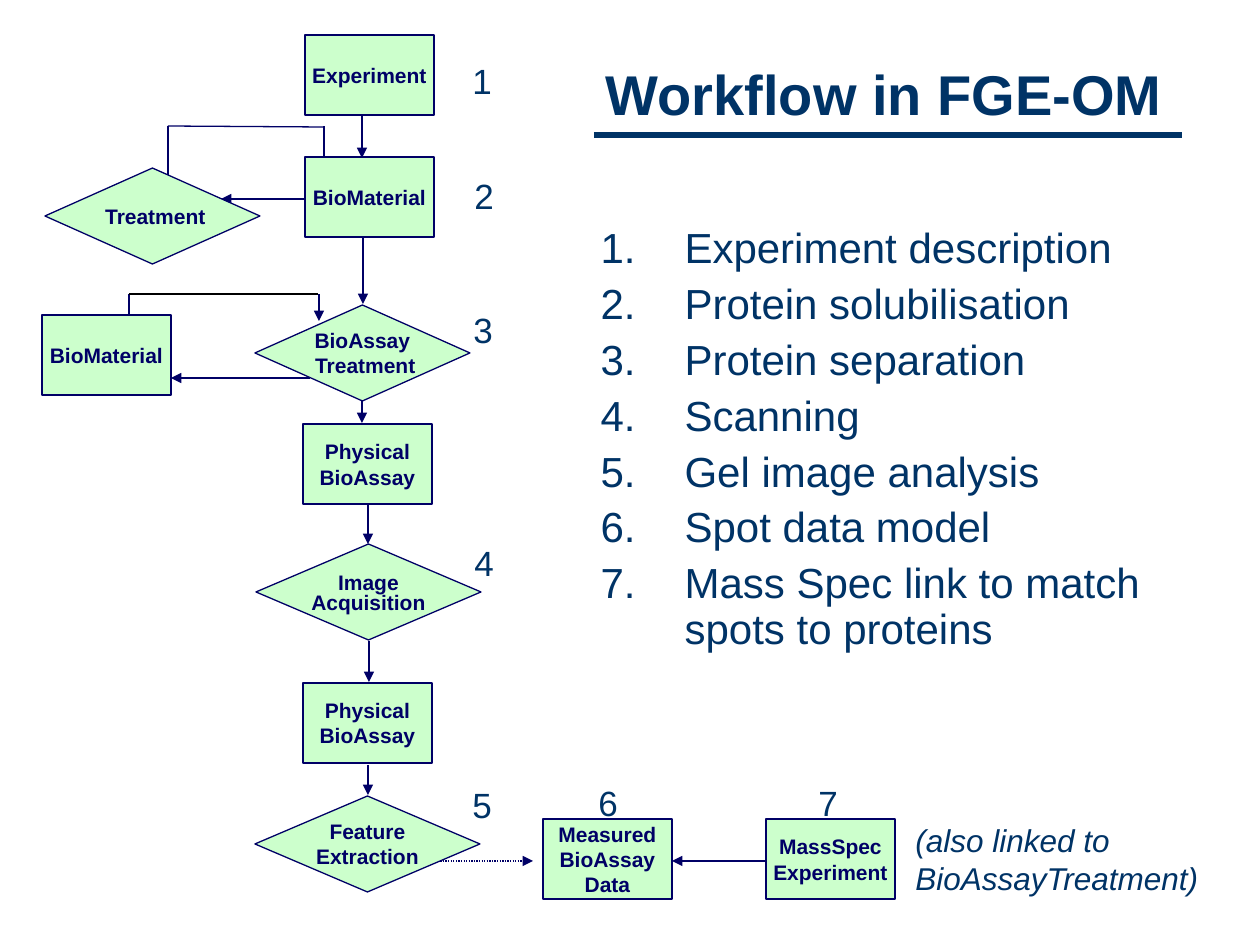
from typing import NamedTuple

from lxml.etree import SubElement
from pptx import Presentation
from pptx.dml.color import RGBColor
from pptx.enum.dml import MSO_LINE_DASH_STYLE as Dash
from pptx.enum.shapes import MSO_CONNECTOR as Connector
from pptx.enum.shapes import MSO_SHAPE as Shape
from pptx.enum.text import MSO_ANCHOR as Anchor
from pptx.enum.text import MSO_AUTO_SIZE as AutoSize
from pptx.enum.text import PP_ALIGN as Align
from pptx.oxml.ns import qn
from pptx.util import Emu, Pt

COLORS = {"navy": "000066", "ink": "003366", "mint": "CCFFCC", "black": "000000"}
FONT = "Arial"
BOX_SIZE = (129, 80)
DIAMOND_HEIGHT = 96


class Link(NamedTuple):
    x1: int
    y1: int
    x2: int
    y2: int
    arrow: bool = True
    color: str = "navy"
    width: float = 0.74
    dotted: bool = False


class Box(NamedTuple):
    left: int
    top: int
    label: str


class Diamond(NamedTuple):
    left: int
    top: int
    width: int
    label: str
    last_spacing: float = 1.0


class Step(NamedTuple):
    number: int
    left: int
    top: int


LINKS = [
    Link(168, 126, 324, 127, arrow=False),
    Link(168, 126, 168, 179, arrow=False),
    Link(324, 126, 324, 171, arrow=False),
    Link(305, 199, 221, 199),
    Link(362, 116, 362, 158),
    Link(363, 238, 363, 304),
    Link(129, 315, 129, 294, arrow=False),
    Link(129, 294, 318, 294, arrow=False, color="black"),
    Link(319, 294, 319, 321),
    Link(310, 378, 171, 378),
    Link(362, 401, 362, 423),
    Link(368, 504, 368, 544),
    Link(369, 641, 369, 682),
    Link(368, 765, 368, 795),
    Link(430, 861, 533, 861, dotted=True),
    Link(766, 861, 672, 861),
    Link(594, 135, 1182, 135, arrow=False, color="ink", width=3),
]

BOXES = [
    Box(305, 35, "Experiment"),
    Box(305, 157, "BioMaterial"),
    Box(42, 315, "BioMaterial"),
    Box(303, 424, "Physical BioAssay"),
    Box(303, 683, "Physical BioAssay"),
    Box(543, 819, "Measured BioAssay Data"),
    Box(766, 819, "MassSpec Experiment"),
]

DIAMONDS = [
    Diamond(45, 168, 215, " Treatment"),
    Diamond(255, 305, 215, "BioAssay\n Treatment"),
    Diamond(256, 544, 225, "Image\nAcquisition", 0.8),
    Diamond(255, 796, 225, "Feature\nExtraction"),
]

STEPS = [
    Step(1, 460, 53),
    Step(2, 462, 168),
    Step(3, 461, 302),
    Step(4, 462, 535),
    Step(5, 460, 777),
    Step(6, 586, 775),
    Step(7, 806, 775),
]

TOPICS = [
    "Experiment description",
    "Protein solubilisation",
    "Protein separation",
    "Scanning",
    "Gel image analysis",
    "Spot data model",
    "Mass Spec link to match spots to proteins",
]


def px(length: int) -> Emu:
    return Emu(round(length * 914400 / 126))


def rgb(name: str) -> RGBColor:
    return RGBColor.from_string(COLORS[name])


def write(frame, text: str, size: int, color: str = "ink", bold: bool = False,
          italic: bool = False, align=Align.LEFT) -> None:
    frame.text = text
    for para in frame.paragraphs:
        para.alignment = align
        for span in para.runs:
            font = span.font
            font.name, font.size = FONT, Pt(size)
            font.bold, font.italic = bold, italic
            font.color.rgb = rgb(color)


def place(shape, left: int, top: int, width: int, height: int) -> None:
    shape.left, shape.top = px(left), px(top)
    shape.width, shape.height = px(width), px(height)


def draw_link(page, link: Link) -> None:
    line = page.shapes.add_connector(
        Connector.STRAIGHT, px(link.x1), px(link.y1), px(link.x2), px(link.y2))
    line.line.color.rgb = rgb(link.color)
    line.line.width = Pt(link.width)
    if link.dotted:
        line.line.dash_style = Dash.ROUND_DOT
    properties = line._element.spPr
    if link.arrow:
        SubElement(properties.find(qn("a:ln")), qn("a:tailEnd"), type="triangle")
    SubElement(properties, qn("a:effectLst"))


def draw_node(page, kind, left: int, top: int, width: int, height: int, label: str):
    node = page.shapes.add_shape(kind, px(left), px(top), px(width), px(height))
    node.shadow.inherit = False
    node.fill.solid()
    node.fill.fore_color.rgb = rgb("mint")
    node.line.color.rgb = rgb("navy")
    node.line.width = Pt(0.74)
    frame = node.text_frame
    frame.margin_left = frame.margin_right = px(3)
    frame.vertical_anchor = Anchor.MIDDLE
    write(frame, label, 12, "navy", bold=True, align=Align.CENTER)
    return node


def draw_box(page, box: Box) -> None:
    node = draw_node(page, Shape.ROUNDED_RECTANGLE, box.left, box.top, *BOX_SIZE, box.label)
    node.adjustments[0] = 0
    node.text_frame.word_wrap = True


def draw_diamond(page, diamond: Diamond) -> None:
    node = draw_node(page, Shape.DIAMOND, diamond.left, diamond.top,
                     diamond.width, DIAMOND_HEIGHT, diamond.label)
    node.text_frame.word_wrap = False
    node.text_frame.paragraphs[-1].line_spacing = diamond.last_spacing


def draw_step(page, step: Step) -> None:
    box = page.shapes.add_textbox(px(step.left), px(step.top), px(44), px(55))
    box.text_frame.word_wrap = False
    write(box.text_frame, str(step.number), 20)


def fill_title(title) -> None:
    place(title, 567, 53, 634, 81)
    title.text_frame.vertical_anchor = Anchor.TOP
    title.text_frame.auto_size = AutoSize.NONE
    write(title.text_frame, "Workflow in FGE-OM", 32, bold=True, align=Align.CENTER)


def fill_topics(body) -> None:
    place(body, 588, 221, 586, 567)
    body.text_frame.auto_size = AutoSize.NONE
    write(body.text_frame, "\n".join(TOPICS), 24)
    for para in body.text_frame.paragraphs:
        para.line_spacing = 0.9
        para.space_before = Pt(6)
        properties = para._p.get_or_add_pPr()
        properties.set("marL", str(px(84)))
        properties.set("indent", str(px(-84)))
        bullet_color = SubElement(properties, qn("a:buClr"))
        SubElement(bullet_color, qn("a:srgbClr"), val=COLORS["ink"])
        SubElement(properties, qn("a:buFont"), typeface=FONT)
        SubElement(properties, qn("a:buAutoNum"), type="arabicPeriod")


deck = Presentation()
deck.slide_width, deck.slide_height = px(1260), px(945)
page = deck.slides.add_slide(deck.slide_layouts[1])
fill_title(page.shapes.title)
fill_topics(page.placeholders[1])
for items, draw in ((LINKS, draw_link), (BOXES, draw_box),
                    (DIAMONDS, draw_diamond), (STEPS, draw_step)):
    for item in items:
        draw(page, item)
note = page.shapes.add_textbox(px(903), px(815), px(338), px(88))
note.text_frame.word_wrap = True
write(note.text_frame, "(also linked to BioAssayTreatment)", 18, italic=True)
deck.save("out.pptx")
